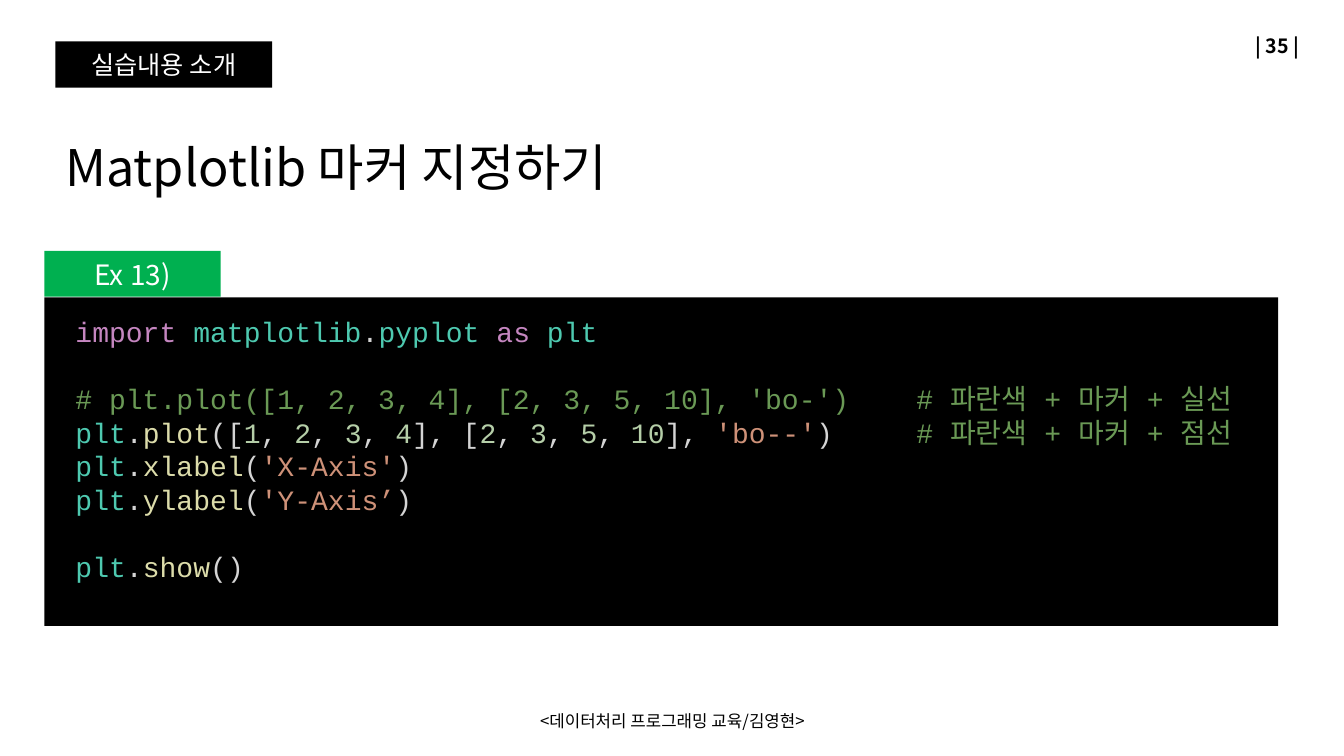
from lxml import etree
from pptx import Presentation
from pptx import util as u
from pptx.dml.color import RGBColor
from pptx.enum import shapes, text
from pptx.oxml.ns import qn

SANS, MONO = "Noto Sans CJK KR", "Courier New"
BLACK, WHITE, GREEN = "000000", "FFFFFF", "00B050"
KEYWORD, MODULE, PLAIN, CALL = "C586C0", "4EC9B0", "D4D4D4", "DCDCAA"
NUMBER, STRING, COMMENT = "B5CEA8", "CE9178", "6A9955"
LEFT, CENTER, RIGHT = text.PP_ALIGN.LEFT, text.PP_ALIGN.CENTER, text.PP_ALIGN.RIGHT
MIDDLE, TOP, BOTTOM = text.MSO_ANCHOR.MIDDLE, text.MSO_ANCHOR.TOP, text.MSO_ANCHOR.BOTTOM


def rgb(value):
    return RGBColor.from_string(value)


def add_run(p, content, size=20, color=BLACK, font=SANS, bold=False):
    r = p.add_run()
    r.text = content
    r.font.size, r.font.bold, r.font.name = u.Pt(size), bold, font
    r.font.color.rgb = rgb(color)
    etree.SubElement(r._r.get_or_add_rPr(), qn("a:ea"), typeface=font)


def numbers(values):
    """Coloured tokens of a comma-separated list of numbers."""
    tokens = []
    for value in values:
        tokens += [(", ", PLAIN), (str(value), NUMBER)]
    return tokens[1:]


def plt_call(name, *arguments):
    """Coloured tokens of a call of a plt function."""
    return [("plt", MODULE), (".", PLAIN), (name, CALL), ("(", PLAIN),
            *arguments, (")", PLAIN)]


class Deck:
    """Holds the slide and its grid of 64 columns by 36 rows."""
    COLS, ROWS = 64, 36

    def __init__(self):
        self.prs = Presentation()
        self.prs.slide_width, self.prs.slide_height = u.Inches(13.33), u.Inches(7.5)
        self.s = self.prs.slides.add_slide(self.prs.slide_layouts[6])

    def place(self, col, row, cols, rows):
        dx = self.prs.slide_width / self.COLS
        dy = self.prs.slide_height / self.ROWS
        return int(col * dx), int(row * dy), int(cols * dx), int(rows * dy)

    def box(self, *cell, fill):
        sp = self.s.shapes.add_shape(shapes.MSO_SHAPE.RECTANGLE, *self.place(*cell))
        sp.shadow.inherit = False
        sp.fill.solid()
        sp.fill.fore_color.rgb = rgb(fill)
        sp.line.fill.background()
        return sp

    def set_text(self, sp, content, align=LEFT, anchor=MIDDLE, **style):
        tf = sp.text_frame
        tf.word_wrap, tf.vertical_anchor = True, anchor
        p = tf.paragraphs[0]
        p.alignment = align
        add_run(p, content, **style)

    def label(self, *cell, content, fill, **style):
        sp = self.box(*cell, fill=fill)
        self.set_text(sp, content, align=CENTER, color=WHITE, **style)

    def caption(self, *cell, content, **style):
        sp = self.s.shapes.add_textbox(*self.place(*cell))
        self.set_text(sp, content, **style)

    def listing(self, *cell, blocks, comment_at, leading=24):
        """One paragraph per line; blocks are set apart by one line of space."""
        tf = self.s.shapes.add_textbox(*self.place(*cell)).text_frame
        tf.word_wrap, tf.vertical_anchor = True, TOP
        p = None
        for block in blocks:
            for i, line in enumerate(block):
                new_block = p is not None and i == 0
                p = tf.add_paragraph() if p is not None else tf.paragraphs[0]
                tabs = etree.SubElement(p._p.get_or_add_pPr(), qn("a:tabLst"))
                etree.SubElement(tabs, qn("a:tab"), pos=str(u.Inches(comment_at)), algn="l")
                p.line_spacing = u.Pt(leading)
                p.space_before = u.Pt(leading if new_block else 0)
                for token, color in line:
                    add_run(p, token, color=color, font=MONO)


def main():
    deck = Deck()

    # Header and footer
    deck.caption(47.95, 1.2, 14.4, 1.92, content="| 35 |", align=RIGHT, size=14, bold=True)
    deck.label(2.64, 1.97, 10.32, 2.21, content="실습내용 소개", fill=BLACK, size=18)
    deck.caption(2.64, 6.19, 46.7, 3.41, content="Matplotlib 마커 지정하기",
                 anchor=BOTTOM, size=36)
    deck.caption(21.22, 33.36, 21.6, 1.92, content="<데이터처리 프로그래밍 교육/김영현>",
                 align=CENTER, size=12)

    # Code panel
    deck.box(2.11, 14.16, 58.75, 15.65, fill=BLACK)
    imports = [[("import ", KEYWORD), ("matplotlib", MODULE), (".", PLAIN),
                ("pyplot ", MODULE), ("as ", KEYWORD), ("plt", MODULE)]]
    plotting = [
        [("# plt.plot([1, 2, 3, 4], [2, 3, 5, 10], 'bo-')\t# 파란색 + 마커 + 실선", COMMENT)],
        plt_call("plot", ("[", PLAIN), *numbers([1, 2, 3, 4]), ("], [", PLAIN),
                 *numbers([2, 3, 5, 10]), ("], ", PLAIN), ("'bo--'", STRING))
        + [("\t# 파란색 + 마커 + 점선", COMMENT)],
        plt_call("xlabel", ("'X-Axis'", STRING)),
        plt_call("ylabel", ("'Y-Axis’", STRING)),
    ]
    deck.listing(3.12, 14.74, 57.79, 13.39, blocks=[imports, plotting, [plt_call("show")]],
                 comment_at=8.34)

    # Example tag
    deck.label(2.11, 11.95, 8.4, 2.18, content="Ex 13)", fill=GREEN, size=20)

    deck.prs.save("out.pptx")


if __name__ == "__main__":
    main()
